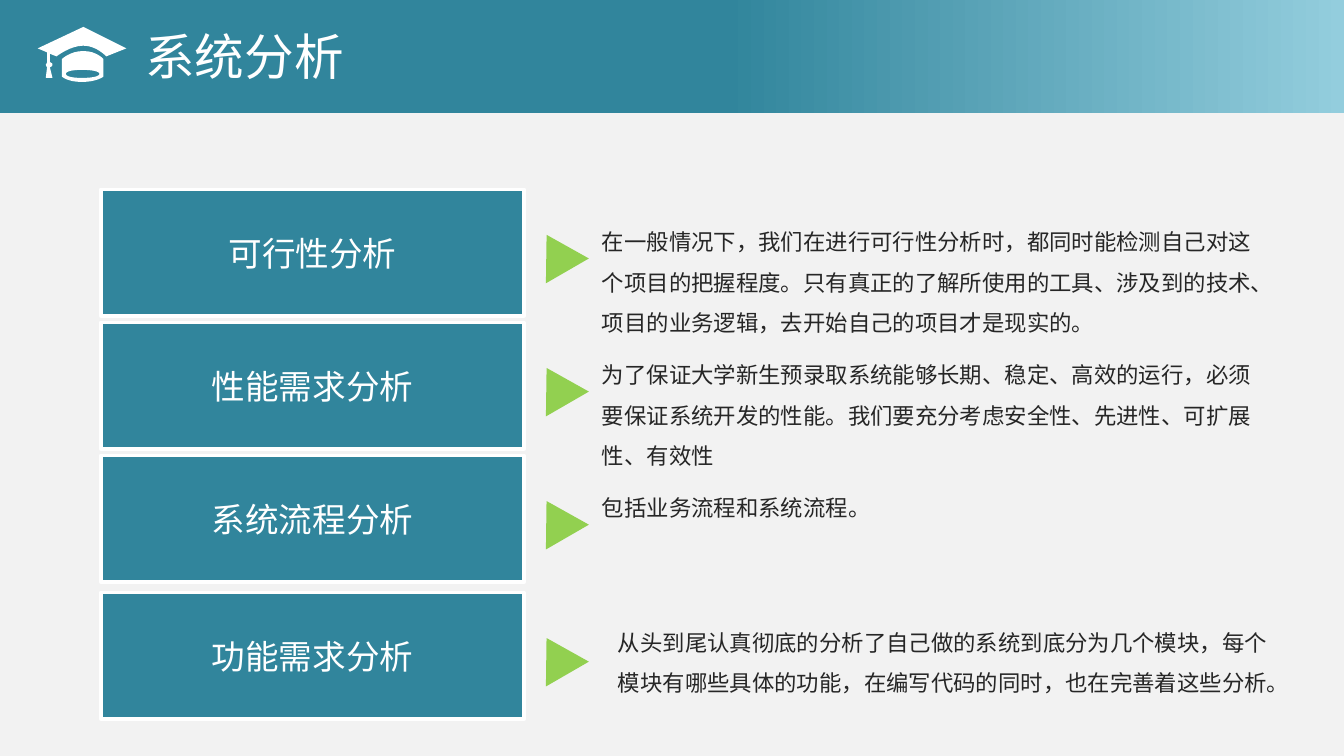
from copy import deepcopy
from dataclasses import dataclass

from lxml import etree
from pptx import Presentation
from pptx import util as u
from pptx.dml.color import RGBColor
from pptx.enum import shapes, text
from pptx.oxml import ns

Pt = u.Pt


@dataclass(frozen=True)
class Theme:
    font: str = "Noto Sans CJK SC"
    page: str = "F2F2F2"
    teal: str = "31859C"
    sky: str = "93CDDD"
    green: str = "92D050"
    white: str = "FFFFFF"
    ink: str = "262626"
    title_size: float = 26.6
    label_size: float = 18
    body_size: float = 12


THEME = Theme()

# Graduation cap on a 67-unit wide grid: pairs are corners, sextuples are curves
CAP_UNITS = 67
CAP_OUTLINES = (
    # Board and tassel
    [(51, 22), (51, 22, 44, 14, 34, 14), (24, 14, 14, 22, 14, 22), (9, 20), (9, 26),
     (10, 27, 11, 27, 11, 28), (11, 29, 10, 30, 9, 30), (11, 38), (6, 38), (7, 30),
     (7, 30, 6, 29, 6, 28), (6, 28, 7, 27, 7, 26), (7, 19), (0, 16), (34, 0), (66, 16)],
    # Crown
    [(34, 18), (44, 18, 49, 24, 49, 24), (49, 37), (49, 37, 44, 41, 33, 41),
     (22, 41, 18, 37, 18, 37), (18, 24), (18, 24, 24, 18, 34, 18)],
    # Opening of the crown
    [(33, 38), (40, 38, 46, 37, 46, 35), (46, 33, 40, 32, 33, 32),
     (26, 32, 21, 33, 21, 35), (21, 37, 26, 38, 33, 38)],
)

# Card top, text indent, text drop, label, description (points)
ROWS = (
    (101.5, 0, 10.1, "可行性分析",
     "在一般情况下，我们在进行可行性分析时，都同时能检测自己对这个项目的把握程度。"
     "只有真正的了解所使用的工具、涉及到的技术、项目的业务逻辑，去开始自己的项目才是现实的。"),
    (172.8, 0, 10.1, "性能需求分析",
     "为了保证大学新生预录取系统能够长期、稳定、高效的运行，必须要保证系统开发的性能。"
     "我们要充分考虑安全性、先进性、可扩展性、有效性"),
    (244.1, 0, 10.1, "系统流程分析", "包括业务流程和系统流程。"),
    (317.5, 8.6, 8.6, "功能需求分析",
     "从头到尾认真彻底的分析了自己做的系统到底分为几个模块，每个模块有哪些具体的功能，"
     "在编写代码的同时，也在完善着这些分析。"),
)


def color(value):
    return RGBColor.from_string(value)


def write(shape, words, size, ink, align=text.PP_ALIGN.LEFT, anchor=text.MSO_ANCHOR.TOP):
    frame = shape.text_frame
    frame.word_wrap = True
    frame.auto_size = text.MSO_AUTO_SIZE.NONE
    frame.vertical_anchor = anchor
    paragraph = frame.paragraphs[0]
    paragraph.text = words
    paragraph.alignment = align
    font = paragraph.font
    font.name, font.size = THEME.font, Pt(size)
    font.color.rgb = color(ink)
    # East Asian glyphs take their own typeface entry
    properties = paragraph._p.pPr.find(ns.qn("a:defRPr"))
    etree.SubElement(properties, ns.qn("a:ea"), typeface=THEME.font)
    return paragraph


def add_filled(slide, kind, left, top, width, height, fill):
    shape = slide.shapes.add_shape(kind, Pt(left), Pt(top), Pt(width), Pt(height))
    shape.shadow.inherit = False
    shape.fill.solid()
    shape.fill.fore_color.rgb = color(fill)
    shape.line.fill.background()
    return shape


def trace(outline, steps=8):
    """Turn corners and cubic curves into a list of points."""
    points = [outline[0]]
    for segment in outline[1:]:
        if len(segment) == 2:
            points.append(segment)
            continue
        controls = [points[-1], segment[:2], segment[2:4], segment[4:]]
        for step in range(1, steps + 1):
            t = step / steps
            weights = ((1 - t) ** 3, 3 * t * (1 - t) ** 2, 3 * t * t * (1 - t), t ** 3)
            points.append(tuple(sum(w * c[axis] for w, c in zip(weights, controls))
                                for axis in (0, 1)))
    return points


def add_cap(slide, left, top, width):
    unit = width / CAP_UNITS
    builder = None
    for outline in CAP_OUTLINES:
        points = [(Pt(left + x * unit), Pt(top + y * unit)) for x, y in trace(outline)]
        if builder is None:
            builder = slide.shapes.build_freeform(*points[0])
        else:
            builder.move_to(*points[0])
        builder.add_line_segments(points[1:], close=True)
    cap = builder.convert_to_shape()
    cap.shadow.inherit = False
    cap.fill.solid()
    cap.fill.fore_color.rgb = color(THEME.white)
    cap.line.fill.background()


def add_header(slide, left, top, width, height):
    # Banner fading to sky blue at the right
    banner = add_filled(slide, shapes.MSO_SHAPE.RECTANGLE, left, top, width, height, THEME.teal)
    banner.fill.gradient()
    banner.fill.gradient_angle = 180
    stops = banner.fill.gradient_stops
    for stop, position, shade in zip(stops, (0, 0.46), (THEME.sky, THEME.teal)):
        stop.position = position
        stop.color.rgb = color(shade)
    stop_list = banner._element.spPr.find(".//" + ns.qn("a:gsLst"))
    last_stop = deepcopy(stop_list[-1])
    last_stop.set("pos", "100000")
    stop_list.append(last_stop)

    add_cap(slide, left + 20.2, top + 14.4, 48.2)

    # Title, brought in front of the banner
    title = slide.shapes.title
    title.left, title.top = Pt(left + 70.6), Pt(top + 10.1)
    title.width, title.height = Pt(304), Pt(39.6)
    write(title, "系统分析", THEME.title_size, THEME.white)
    slide.shapes._spTree.append(title._element)


def add_row(slide, left, top, width, height, indent, drop, label, description):
    # Card
    card_width = 226.8
    card = add_filled(slide, shapes.MSO_SHAPE.RECTANGLE, left, top, card_width, height, THEME.teal)
    card.line.color.rgb = color(THEME.white)
    card.line.width = Pt(2)
    write(card, label, THEME.label_size, THEME.white,
          text.PP_ALIGN.CENTER, text.MSO_ANCHOR.MIDDLE)

    # Marker turned to point right
    marker = add_filled(slide, shapes.MSO_SHAPE.ISOSCELES_TRIANGLE,
                        left + card_width + 4.3, top + 22.8, 26.6, 22.3, THEME.green)
    marker.rotation = 330

    # Description
    text_width = 365
    box = slide.shapes.add_textbox(Pt(left + width - text_width + indent), Pt(top + drop),
                                   Pt(text_width), Pt(50.4))
    paragraph = write(box, description, THEME.body_size, THEME.ink)
    paragraph.line_spacing = 1.5
    paragraph.space_before = Pt(3)


def main():
    presentation = Presentation()
    presentation.slide_width, presentation.slide_height = Pt(720), Pt(405)
    slide = presentation.slides.add_slide(presentation.slide_layouts.get_by_name("Title Only"))
    slide.background.fill.solid()
    slide.background.fill.fore_color.rgb = color(THEME.page)
    add_header(slide, 0, 0, 720, 60.5)
    for top, *content in ROWS:
        add_row(slide, 54, top, 626.4, 67.7, *content)
    presentation.save("out.pptx")


if __name__ == "__main__":
    main()
